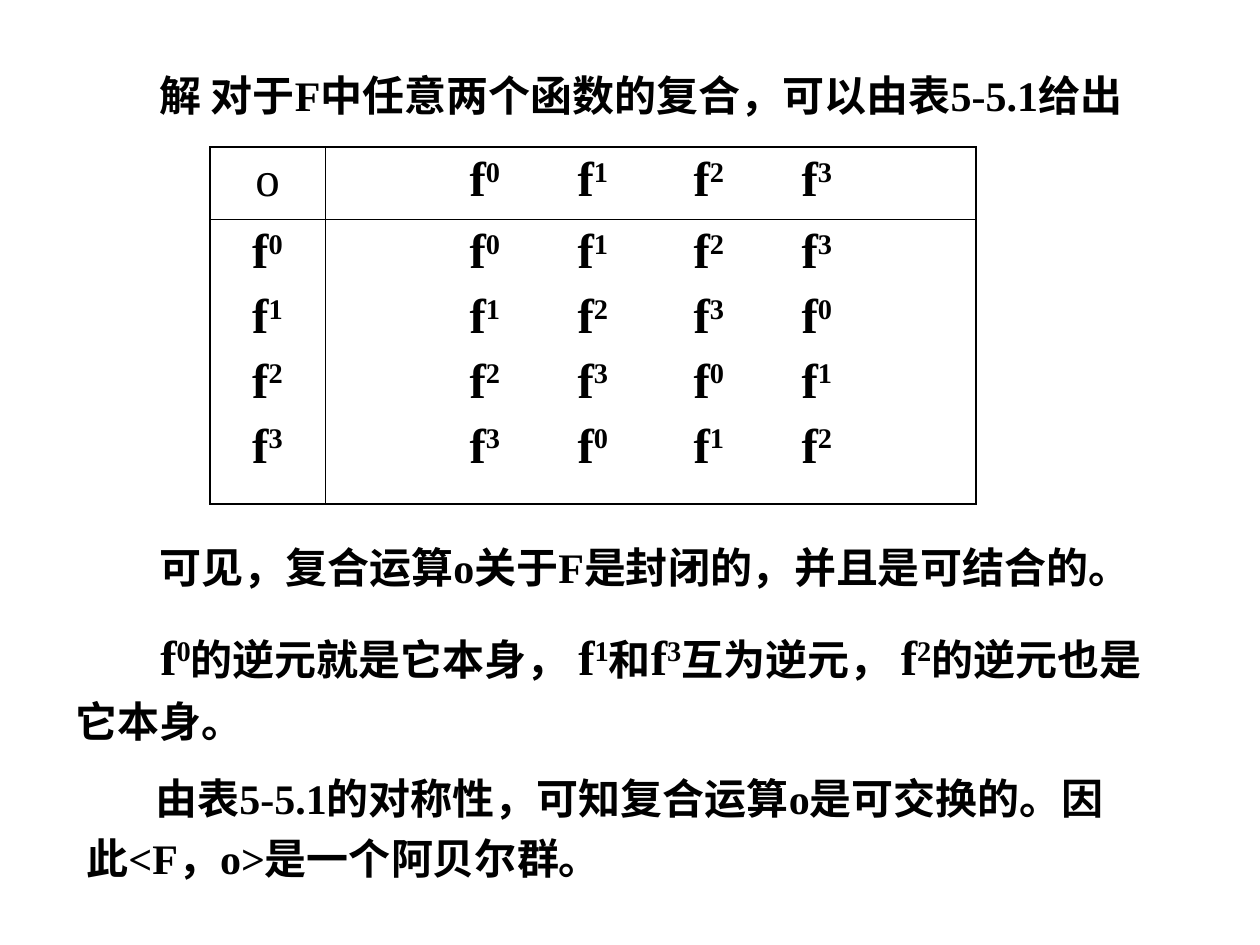
from lxml.etree import SubElement
from pptx import Presentation
from pptx.dml.color import RGBColor
from pptx.enum.text import MSO_AUTO_SIZE, PP_ALIGN
from pptx.oxml.ns import qn
from pptx.util import Pt

BLACK = RGBColor(0, 0, 0)
FACE = "Times New Roman"
BODY = {"size": Pt(24), "bold": True}
BIG = {"size": Pt(28), "bold": True}
PLAIN = {"size": Pt(28), "bold": False}
TABS = (132, 240, 356, 464)
COLS = (115, 651)
ROWS = (72, 285)
ORDER = 4
THICK, THIN = Pt(1.08), Pt(0.45)


def px(count):
    return round(count * 914400 / 126)


def add_run(para, text, style, raised=False):
    run = para.add_run()
    run.text = text
    for name, value in {"name": FACE, **style}.items():
        setattr(run.font, name, value)
    run.font.color.rgb = BLACK
    if raised:
        run._r.get_or_add_rPr().set("baseline", "30000")


def add_power(para, power, lead=""):
    add_run(para, lead + "f", BIG)
    add_run(para, str(power), BIG, True)


def add_text(slide, box, parts, indent=0, spacing=None):
    frame = slide.shapes.add_textbox(*map(px, box)).text_frame
    frame.word_wrap = True
    frame.auto_size = MSO_AUTO_SIZE.SHAPE_TO_FIT_TEXT
    para = frame.paragraphs[0]
    para.line_spacing = spacing
    if indent:
        para._p.get_or_add_pPr().set("indent", str(px(indent)))
    for part in parts:
        if isinstance(part, int):
            add_power(para, part)
        else:
            add_run(para, part, BODY)


def set_tabs(para):
    stops = SubElement(para._p.get_or_add_pPr(), qn("a:tabLst"))
    for stop in TABS:
        SubElement(stops, qn("a:tab"), pos=str(px(stop)), algn="l")


def set_edges(cell, row, col):
    cell.fill.background()
    props = cell._tc.get_or_add_tcPr()
    outer = {"L": col == 0, "R": col == 1, "T": row == 0, "B": row == 1}
    for place, (side, edge) in enumerate(outer.items()):
        line = SubElement(props, qn("a:ln" + side), w=str(THICK if edge else THIN))
        fill = SubElement(line, qn("a:solidFill"))
        SubElement(fill, qn("a:srgbClr"), val=str(BLACK))
        props.insert(place, line)


def add_lines(cell, lines, tabbed):
    frame = cell.text_frame
    for index, powers in enumerate(lines):
        para = frame.add_paragraph() if index else frame.paragraphs[0]
        if index:
            para.space_before = Pt(6)
        para.alignment = PP_ALIGN.LEFT if tabbed else PP_ALIGN.CENTER
        if tabbed:
            set_tabs(para)
        for power in powers:
            add_power(para, power, "\t" if tabbed else "")


def add_grid(slide):
    box = (210, 147, sum(COLS), sum(ROWS))
    table = slide.shapes.add_table(2, 2, *map(px, box)).table
    table.first_row = table.horz_banding = False
    for col, width in zip(table.columns, COLS):
        col.width = px(width)
    for row, height in zip(table.rows, ROWS):
        row.height = px(height)
    for row in range(2):
        for col in range(2):
            set_edges(table.cell(row, col), row, col)

    corner = table.cell(0, 0).text_frame.paragraphs[0]
    corner.alignment = PP_ALIGN.CENTER
    add_run(corner, "o", PLAIN)
    powers = range(ORDER)
    add_lines(table.cell(0, 1), [powers], True)
    add_lines(table.cell(1, 0), [[power] for power in powers], False)
    sums = [[(left + top) % ORDER for top in powers] for left in powers]
    add_lines(table.cell(1, 1), sums, True)


def main():
    deck = Presentation()
    deck.slide_width, deck.slide_height = px(1260), px(945)
    slide = deck.slides.add_slide(deck.slide_layouts[6])
    add_text(slide, (147, 63, 1050, 63),
             ["解 对于F中任意两个函数的复合，可以由表5-5.1给出"])
    add_grid(slide)
    add_text(slide, (147, 535, 1050, 63),
             ["可见，复合运算o关于F是封闭的，并且是可结合的。"])
    add_text(slide, (74, 756, 1050, 134),
             ["由表5-5.1的对称性，可知复合运算o是可交换的。因此<F，o>是一个阿贝尔群。"],
             69, 1.2)
    add_text(slide, (63, 609, 1092, 144),
             [0, "的逆元就是它本身， ", 1, "和", 3, "互为逆元， ", 2,
              "的逆元也是它本身。"], 85, 1.2)
    deck.save("out.pptx")


if __name__ == "__main__":
    main()
